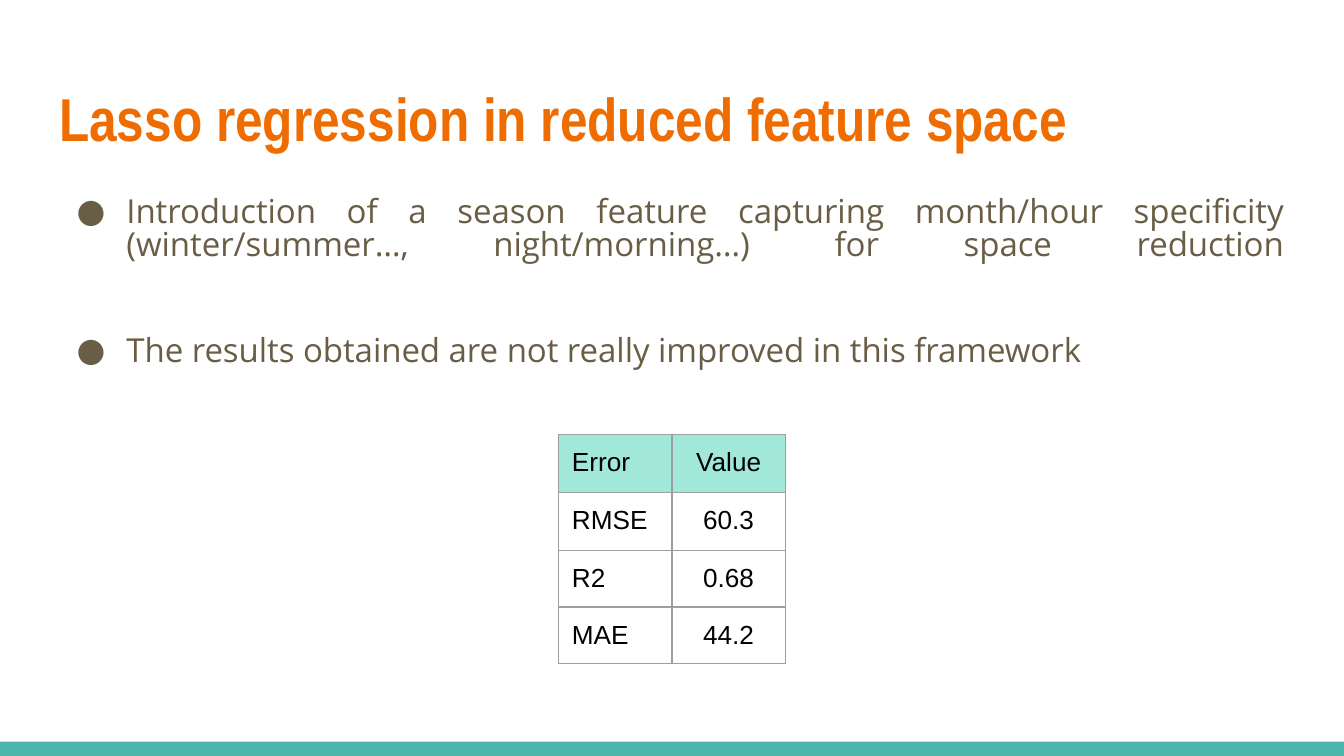
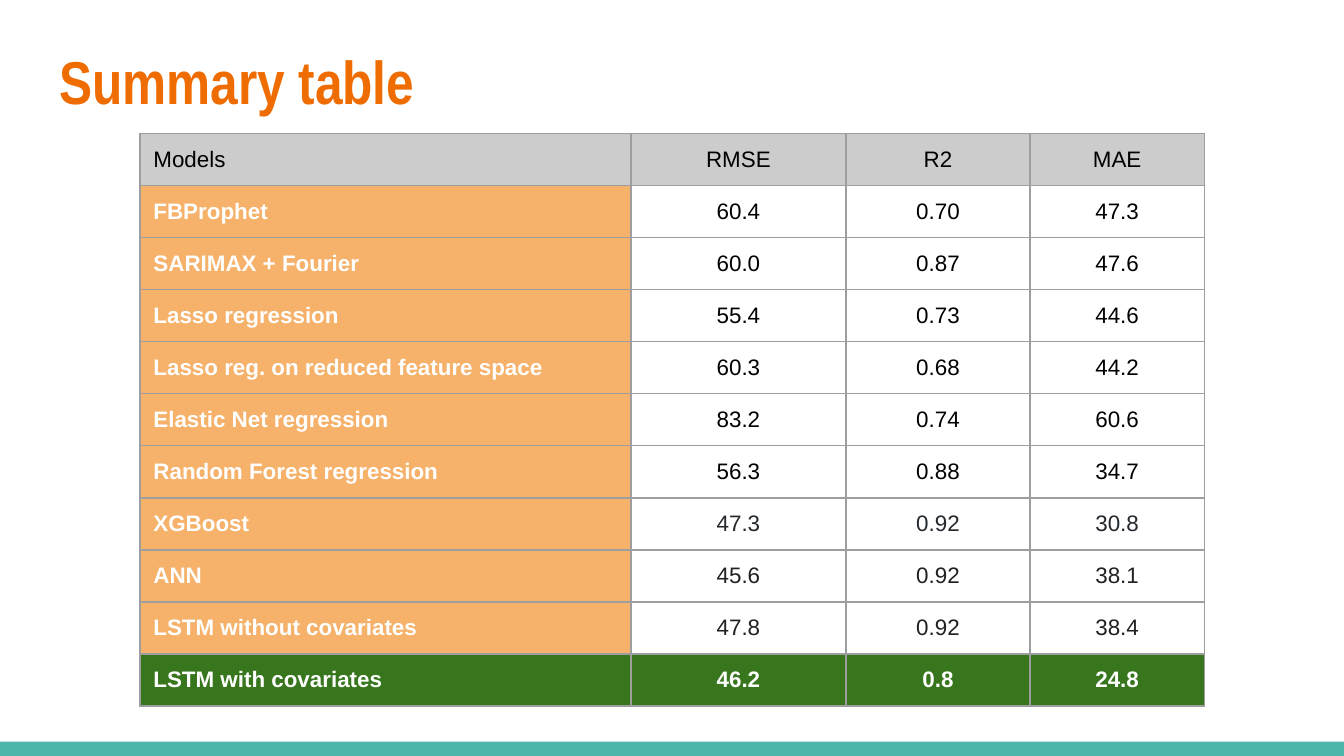
from lxml.etree import SubElement
from pptx import Presentation
from pptx.dml.color import RGBColor
from pptx.enum.shapes import MSO_SHAPE as Shape
from pptx.enum.text import MSO_ANCHOR as Anchor, MSO_AUTO_SIZE as Fit, PP_ALIGN as Align
from pptx.oxml.ns import qn
from pptx.util import Pt

WIDTH, HEIGHT = 720, 405
LEFT, SPAN = 24.5, 671
INSET = 7.2
ORANGE, TEAL, BROWN = "EF6C00", "4DB6AC", "695D46"
MINT, GREY, PEACH, GREEN = "A1E8D9", "CCCCCC", "F6B26B", "38761D"
BLACK, WHITE, RULE = "000000", "FFFFFF", "9E9E9E"
INK, SLATE = "212121", "24292E"

ERRORS = [
    ("Error", "Value"),
    ("RMSE", "60.3"),
    ("R2", "0.68"),
    ("MAE", "44.2"),
]
MODELS = [
    ("Models", "RMSE", "R2", "MAE"),
    ("FBProphet", "60.4", "0.70", "47.3"),
    ("SARIMAX + Fourier", "60.0", "0.87", "47.6"),
    ("Lasso regression", "55.4", "0.73", "44.6"),
    ("Lasso reg. on reduced feature space", "60.3", "0.68", "44.2"),
    ("Elastic Net regression", "83.2", "0.74", "60.6"),
    ("Random Forest regression", "56.3", "0.88", "34.7"),
    ("XGBoost", "47.3", "0.92", "30.8"),
    ("ANN", "45.6", "0.92", "38.1"),
    ("LSTM without covariates", "47.8", "0.92", "38.4"),
    ("LSTM with covariates", "46.2", "0.8", "24.8"),
]
# A closing line break stretches the last justified line of the first point.
POINTS = [
    "Introduction of a season feature capturing month/hour specificity "
    "(winter/summer…, night/morning…) for space reduction\v",
    "The results obtained are not really improved in this framework",
]


def rgb(code):
    return RGBColor.from_string(code)


def write(para, text, size=14, font="Arial", color=BLACK, bold=False,
          align=Align.LEFT, lead=1.0):
    para.text = text
    para.alignment = align
    para.line_spacing = lead
    para.space_before = para.space_after = Pt(0)
    for run in para.runs:
        run.font.size = Pt(size)
        run.font.name = font
        run.font.bold = bold
        run.font.color.rgb = rgb(color)


def pad(box):
    """Give a text frame or a cell equal margins on all sides."""
    box.margin_left = box.margin_right = Pt(INSET)
    box.margin_top = box.margin_bottom = Pt(INSET)


def place(holder, top, height, anchor):
    """Move a placeholder to the shared text column and return its frame."""
    holder.left, holder.top = Pt(LEFT), Pt(top)
    holder.width, holder.height = Pt(SPAN), Pt(height)
    frame = holder.text_frame
    frame.word_wrap = True
    frame.auto_size = Fit.NONE
    frame.vertical_anchor = anchor
    pad(frame)
    return frame


def start(deck, layout, title, top):
    """Add a slide with the bottom band and its title."""
    slide = deck.slides.add_slide(deck.slide_layouts[layout])
    band = slide.shapes.add_shape(Shape.RECTANGLE, 0, Pt(397.4), Pt(WIDTH), Pt(7.6))
    band.shadow.inherit = False
    band.fill.solid()
    band.fill.fore_color.rgb = rgb(TEAL)
    band.line.fill.background()
    frame = place(slide.shapes.title, top, 55.4, Anchor.MIDDLE)
    write(frame.paragraphs[0], title, size=32.4, font="Arial Narrow",
          color=ORANGE, bold=True)
    return slide


def bullet(para):
    props = para._p.get_or_add_pPr()
    props.set("marL", str(Pt(36)))
    props.set("indent", str(-Pt(26.6)))
    tint = SubElement(props, qn("a:buClr"))
    SubElement(tint, qn("a:srgbClr"), val=BROWN)
    SubElement(props, qn("a:buFont"), typeface="Open Sans")
    SubElement(props, qn("a:buChar"), char="●")


def points(slide, items):
    frame = place(slide.placeholders[1], 97.9, 260, Anchor.TOP)
    for i, item in enumerate(items):
        para = frame.add_paragraph() if i else frame.paragraphs[0]
        bullet(para)
        write(para, item, size=17.7, font="Open Sans", color=BROWN,
              align=Align.JUSTIFY, lead=0.85)


def border(cell):
    props = cell._tc.get_or_add_tcPr()
    for side in "LRTB":
        line = SubElement(props, qn(f"a:ln{side}"), w=str(Pt(0.75)))
        fill = SubElement(line, qn("a:solidFill"))
        SubElement(fill, qn("a:srgbClr"), val=RULE)


def grid(slide, data, left, top, cols, rows, style, size):
    """Add a table; style(row, col) gives fill, text colour and bold."""
    table = slide.shapes.add_table(len(data), len(cols), Pt(left), Pt(top),
                                   Pt(sum(cols)), Pt(sum(rows))).table
    table.first_row = table.horz_banding = False
    for col, width in zip(table.columns, cols):
        col.width = Pt(width)
    for r, (row, height) in enumerate(zip(data, rows)):
        table.rows[r].height = Pt(height)
        for c, text in enumerate(row):
            cell = table.cell(r, c)
            pad(cell)
            border(cell)
            fill, color, bold = style(r, c)
            if fill:
                cell.fill.solid()
                cell.fill.fore_color.rgb = rgb(fill)
            else:
                cell.fill.background()
            write(cell.text_frame.paragraphs[0], text, size=size, color=color,
                  bold=bold, align=Align.CENTER if c else Align.LEFT)


def plain(row, col):
    return (None if row else MINT), BLACK, False


def ranked(row, col):
    """Grey head, peach model names, green last row."""
    if row == 0:
        return GREY, BLACK, False
    if row == len(MODELS) - 1:
        return GREEN, WHITE, True
    if col == 0:
        return PEACH, WHITE, True
    if row < 7:
        return None, BLACK, False
    return WHITE, (SLATE if row == 7 else INK), False


def main():
    deck = Presentation()
    deck.slide_width, deck.slide_height = Pt(WIDTH), Pt(HEIGHT)

    lasso = start(deck, 1, "Lasso regression in reduced feature space", 35.3)
    points(lasso, POINTS)
    grid(lasso, ERRORS, 299.2, 232.6, [60.8] * 2, [31.2, 31.2, 30, 30],
         plain, size=14)

    recap = start(deck, 5, "Summary table", 15.3)
    grid(recap, MODELS, 75, 71.7, [263, 115.2, 98.6, 93.4],
         [27.8] * len(MODELS), ranked, size=12)

    deck.save("out.pptx")


if __name__ == "__main__":
    main()
